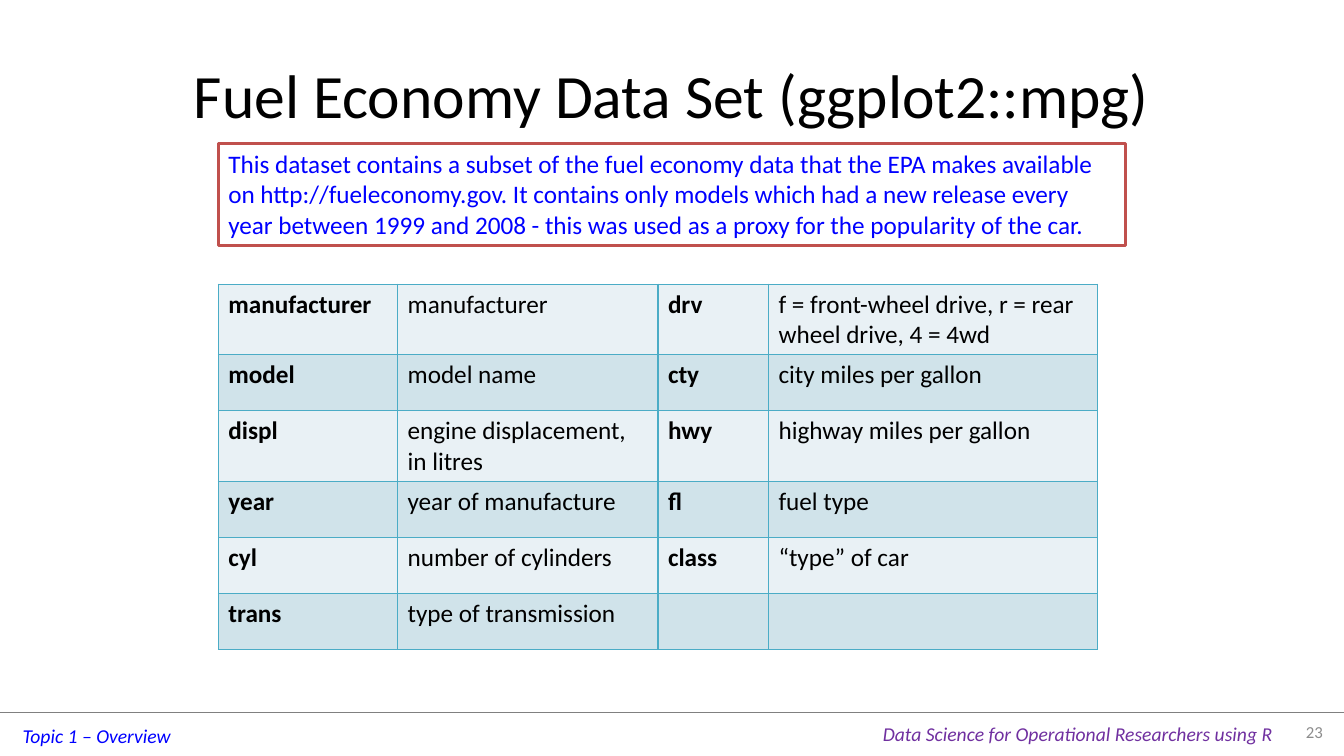
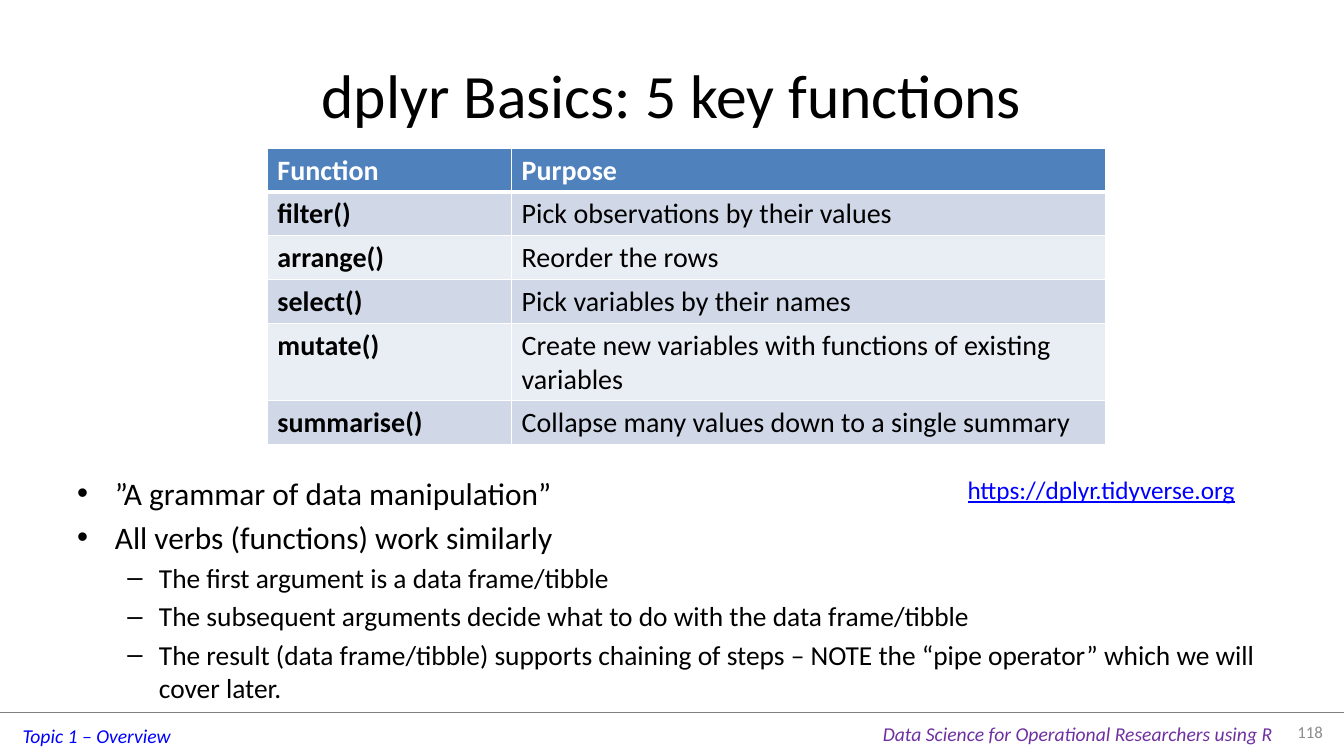
"""Build two course slides on the mpg data set and the key dplyr functions."""
from dataclasses import dataclass

from lxml import etree
from pptx import Presentation
from pptx.dml.color import RGBColor
from pptx.enum import shapes, text
from pptx.oxml import ns
from pptx.util import Pt


@dataclass(frozen=True)
class Theme:
    font: str = "Calibri"
    black: str = "000000"
    white: str = "FFFFFF"
    blue: str = "0000FF"
    purple: str = "7030A0"
    rule: str = "808080"
    muted: str = "8C8C8C"
    box_line: str = "C0504D"
    header: str = "4F81BD"
    steel_bands: tuple = ("D0D8E8", "E9EDF4")
    aqua_bands: tuple = ("E9F1F5", "D0E3EA")
    aqua_line: str = "4BACC6"
    title: float = 44
    body: tuple = (22.4, 19.6)
    table: float = 20
    note: float = 18
    footer: float = 14
    number: float = 12


class Deck:
    WIDTH, HEIGHT = 960, 540
    FOOTER_TOP = 509
    BULLETS = (("•", 27, -27), ("–", 58.5, -22.5))

    def __init__(self, theme):
        self.theme = theme
        self.prs = Presentation()
        self.prs.slide_width, self.prs.slide_height = Pt(self.WIDTH), Pt(self.HEIGHT)
        self.s = None

    def run(self, p, words, size, color=None, bold=False, italic=False, underline=False):
        r = p.add_run()
        r.text = words
        f = r.font
        f.name, f.size = self.theme.font, Pt(size)
        f.bold, f.italic, f.underline = bold, italic, underline
        f.color.rgb = RGBColor.from_string(color or self.theme.black)

    def slide(self, title, number):
        t = self.theme
        self.s = self.prs.slides.add_slide(self.prs.slide_layouts[5])
        self.footer(number)
        sp = self.s.shapes.title
        sp.left, sp.top, sp.width, sp.height = Pt(48), Pt(22), Pt(864), Pt(90)
        tf = sp.text_frame
        tf.vertical_anchor = text.MSO_ANCHOR.MIDDLE
        p = tf.paragraphs[0]
        p.alignment = text.PP_ALIGN.CENTER
        self.run(p, title, t.title)

    def footer(self, number):
        t = self.theme
        y = Pt(self.FOOTER_TOP)
        line = self.s.shapes.add_connector(
            shapes.MSO_CONNECTOR.STRAIGHT, 0, y, Pt(self.WIDTH), y)
        line.line.color.rgb = RGBColor.from_string(t.rule)
        line.line.width = Pt(0.25)
        etree.SubElement(line._element.spPr, ns.qn("a:effectLst"))
        self.text((9, 513.5, 121, 24.5), "Topic 1 – Overview", t.footer,
                  t.blue, wrap=False, italic=True)
        self.text((623.5, 512, 296, 24.5), "Data Science for Operational Researchers using R",
                  t.footer, t.purple, wrap=False, italic=True)
        sp = self.text((912, self.FOOTER_TOP, 40, 28), str(number), t.number, t.muted)
        sp.text_frame.vertical_anchor = text.MSO_ANCHOR.MIDDLE
        sp.text_frame.paragraphs[0].alignment = text.PP_ALIGN.RIGHT

    def text(self, box, words, size, color, wrap=True, **style):
        sp = self.s.shapes.add_textbox(*map(Pt, box))
        tf = sp.text_frame
        tf.word_wrap = wrap
        self.run(tf.paragraphs[0], words, size, color, **style)
        return sp

    def note(self, box, words):
        t = self.theme
        sp = self.s.shapes.add_shape(shapes.MSO_SHAPE.RECTANGLE, *map(Pt, box))
        sp.shadow.inherit = False
        sp.fill.solid()
        sp.fill.fore_color.rgb = RGBColor.from_string(t.white)
        sp.line.color.rgb = RGBColor.from_string(t.box_line)
        sp.line.width = Pt(2)
        tf = sp.text_frame
        tf.word_wrap = True
        tf.vertical_anchor = text.MSO_ANCHOR.TOP
        p = tf.paragraphs[0]
        p.alignment = text.PP_ALIGN.LEFT
        self.run(p, words, t.note, t.blue)

    def bullets(self, box, items):
        tf = self.s.shapes.add_textbox(*map(Pt, box)).text_frame
        tf.word_wrap = True
        for i, (level, words) in enumerate(items):
            p = tf.paragraphs[0] if i == 0 else tf.add_paragraph()
            size = self.theme.body[level]
            mark, margin, indent = self.BULLETS[level]
            p.level = level
            if i:
                p.space_before = Pt(round(size * 0.2, 1))
            pPr = p._p.get_or_add_pPr()
            pPr.set("marL", str(Pt(margin)))
            pPr.set("indent", str(Pt(indent)))
            etree.SubElement(pPr, ns.qn("a:buFont"), typeface="Arial")
            etree.SubElement(pPr, ns.qn("a:buChar"), char=mark)
            self.run(p, words, size)

    def border(self, cell, side, color, width):
        ln = etree.SubElement(cell._tc.get_or_add_tcPr(), ns.qn(f"a:ln{side}"), w=str(Pt(width)))
        fill = etree.SubElement(ln, ns.qn("a:solidFill"))
        etree.SubElement(fill, ns.qn("a:srgbClr"), val=color)

    def table(self, at, widths, row_height, rows, size, bands, line, header=False):
        t = self.theme
        frame = self.s.shapes.add_table(
            len(rows), len(widths), *map(Pt, (*at, sum(widths), row_height * len(rows))))
        tbl = frame.table
        tbl.first_row = header
        tbl.horz_banding = False
        for col, width in zip(tbl.columns, widths):
            col.width = Pt(width)
        for i, row in enumerate(rows):
            tbl.rows[i].height = Pt(row_height)
            is_head = header and i == 0
            fill = t.header if is_head else bands[(i - header) % 2]
            top = 3 if header and i == 1 else 1
            for j, words in enumerate(row):
                cell = tbl.cell(i, j)
                for side, width in zip("LRTB", (1, 1, top, 3 if is_head else 1)):
                    self.border(cell, side, line, width)
                cell.fill.solid()
                cell.fill.fore_color.rgb = RGBColor.from_string(fill)
                if words:
                    self.run(cell.text_frame.paragraphs[0], words, size,
                             t.white if is_head else t.black, bold=is_head or j % 2 == 0)


VARIABLES = [
    ("manufacturer", "manufacturer", "drv",
     "f = front-wheel drive, r = rear wheel drive, 4 = 4wd"),
    ("model", "model name", "cty", "city miles per gallon"),
    ("displ", "engine displacement, in litres", "hwy", "highway miles per gallon"),
    ("year", "year of manufacture", "fl", "fuel type"),
    ("cyl", "number of cylinders", "class", "“type” of car"),
    ("trans", "type of transmission", "", ""),
]

FUNCTIONS = [
    ("Function", "Purpose"),
    ("filter()", "Pick observations by their values"),
    ("arrange()", "Reorder the rows"),
    ("select()", "Pick variables by their names"),
    ("mutate()", "Create new variables with functions of existing variables"),
    ("summarise()", "Collapse many values down to a single summary"),
]

POINTS = [
    (0, "”A grammar of data manipulation”"),
    (0, "All verbs (functions) work similarly"),
    (1, "The first argument is a data frame/tibble"),
    (1, "The subsequent arguments decide what to do with the data frame/tibble"),
    (1, "The result (data frame/tibble) supports chaining of steps – NOTE the "
        "“pipe operator” which we will cover later."),
]


def main():
    t = Theme()
    deck = Deck(t)

    deck.slide("Fuel Economy Data Set (ggplot2::mpg)", 23)
    deck.table((156, 203), (128, 186, 79, 235), 40, VARIABLES, t.note,
               t.aqua_bands, t.aqua_line)
    deck.note((156, 102.5, 648, 73),
              "This dataset contains a subset of the fuel economy data that the EPA makes "
              "available on http://fueleconomy.gov. It contains only models which had a new "
              "release every year between 1999 and 2008 - this was used as a proxy for the "
              "popularity of the car.")

    deck.slide("dplyr Basics: 5 key functions", 118)
    deck.bullets((48, 335, 864, 156), POINTS)
    deck.table((191, 106), (174.5, 424), 29.5, FUNCTIONS, t.table,
               t.steel_bands, t.white, header=True)
    deck.text((684, 335, 212, 29), "https://dplyr.tidyverse.org", t.note, t.blue,
              underline=True)

    deck.prs.save("out.pptx")


if __name__ == "__main__":
    main()
